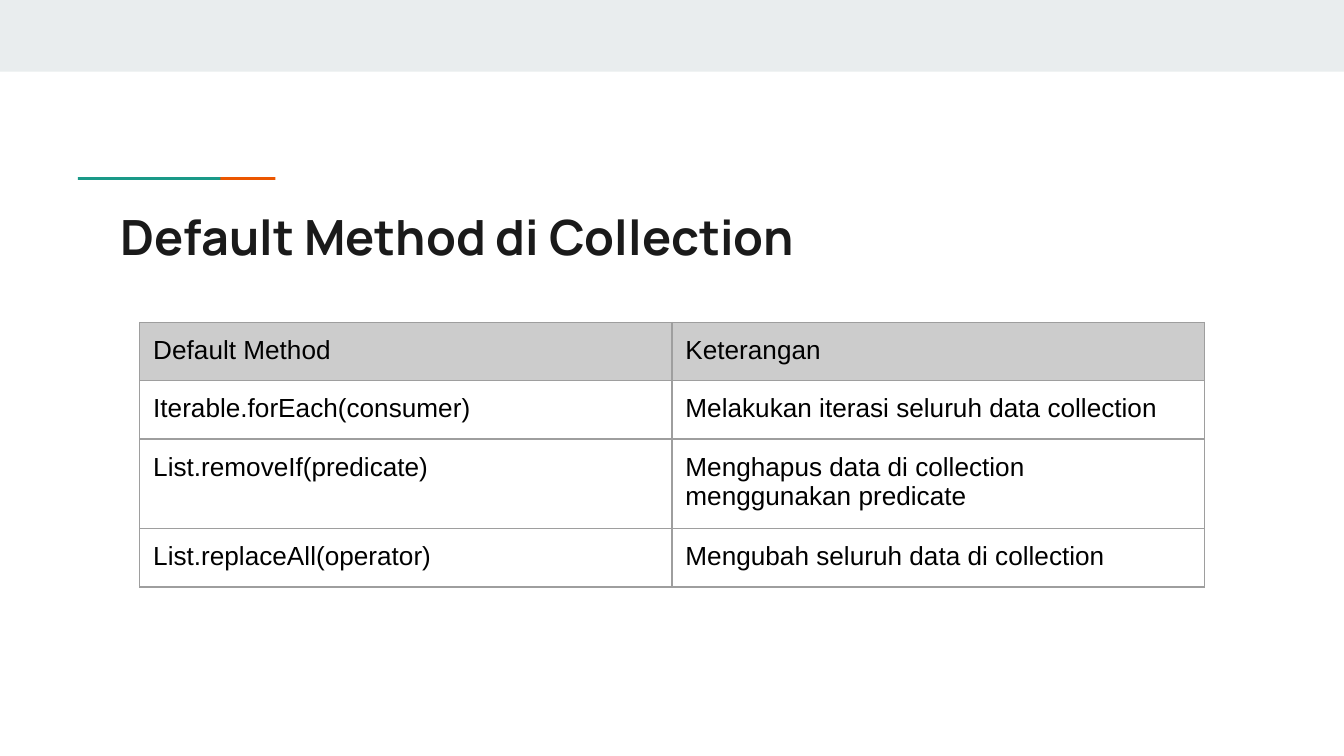
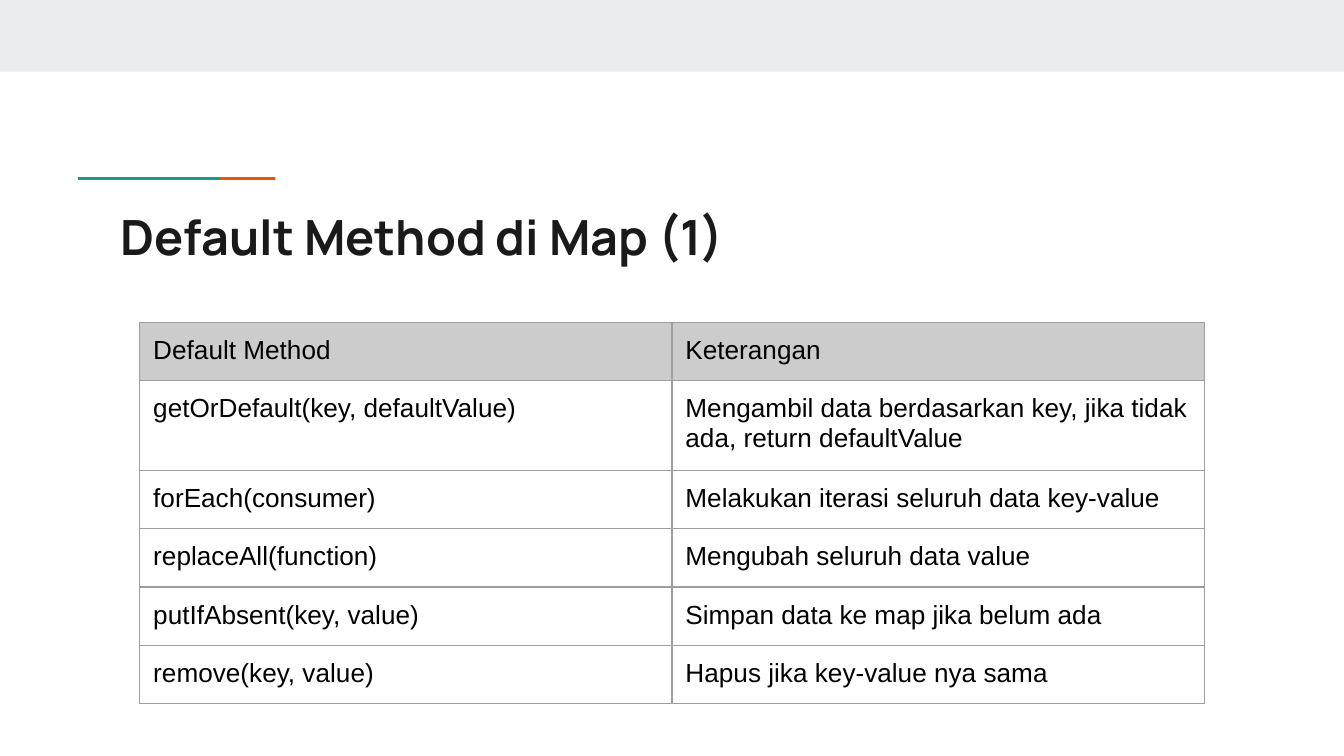
import pptx
import pptx.util
import pptx.dml.color
import pptx.enum.shapes
import pptx.enum.text
import pptx.oxml
import pptx.oxml.ns

RGB = pptx.dml.color.RGBColor
BAND = RGB(0xE9, 0xED, 0xEE)
TEAL = RGB(0x1A, 0x99, 0x88)
ORANGE = RGB(0xEB, 0x56, 0x00)
INK = RGB(0x1A, 0x1A, 0x1A)
BLACK = RGB(0x00, 0x00, 0x00)
HEADER = RGB(0xCC, 0xCC, 0xCC)
BORDER = RGB(0x9E, 0x9E, 0x9E)

TITLE_FONT = {"name": "Manrope", "size": pptx.util.Pt(26), "bold": True}
CELL_FONT = {"name": "Arial", "size": pptx.util.Pt(14), "bold": False}
INSET = pptx.util.Inches(0.1)
ROW = pptx.util.Pt(30)
FRAME = pptx.util.Inches(3.28)

prs = pptx.Presentation()
prs.slide_width = pptx.util.Inches(10)
prs.slide_height = prs.slide_width * 9 // 16
W, H = prs.slide_width, prs.slide_height

ACCENT_W, ACCENT_H = int(W * 0.002), int(W * 0.106)
ACCENT_Y = int(W * 0.1328 - ACCENT_H / 2)
BARS = [
    (0, 0, W, int(H * 0.095), 0, BAND),
    (int(W * 0.151), ACCENT_Y, ACCENT_W, ACCENT_H, 270, ORANGE),
    (int(W * 0.11), ACCENT_Y, ACCENT_W, ACCENT_H, 270, TEAL),
]

HEADINGS = ("Default Method", "Keterangan")
SLIDES = [
    ("Default Method di Collection", [
        ("Iterable.forEach(consumer)", "Melakukan iterasi seluruh data collection"),
        ("List.removeIf(predicate)", "Menghapus data di collection menggunakan predicate"),
        ("List.replaceAll(operator)", "Mengubah seluruh data di collection"),
    ]),
    ("Default Method di Map (1)", [
        ("getOrDefault(key, defaultValue)",
         "Mengambil data berdasarkan key, jika tidak ada, return defaultValue"),
        ("forEach(consumer)", "Melakukan iterasi seluruh data key-value"),
        ("replaceAll(function)", "Mengubah seluruh data value"),
        ("putIfAbsent(key, value)", "Simpan data ke map jika belum ada"),
        ("remove(key, value)", "Hapus jika key-value nya sama"),
    ]),
]


def write(tf, text, fmt, color):
    r = tf.paragraphs[0].add_run()
    r.text = text
    for key, value in fmt.items():
        setattr(r.font, key, value)
    r.font.color.rgb = color


def outline(cell):
    tcPr = cell._tc.get_or_add_tcPr()
    for side in ("lnL", "lnR", "lnT", "lnB"):
        tcPr.append(pptx.oxml.parse_xml(
            f'<a:{side} {pptx.oxml.ns.nsdecls("a")} w="{pptx.util.Pt(0.75)}">'
            f'<a:solidFill><a:srgbClr val="{BORDER}"/></a:solidFill></a:{side}>'))


for title, rows in SLIDES:
    s = prs.slides.add_slide(prs.slide_layouts[6])

    for x, y, w, h, turn, color in BARS:
        sp = s.shapes.add_shape(pptx.enum.shapes.MSO_SHAPE.RECTANGLE, x, y, w, h)
        sp.rotation = turn
        sp.shadow.inherit = False
        sp.fill.solid()
        sp.fill.fore_color.rgb = color
        sp.line.fill.background()

    tf = s.shapes.add_textbox(int(W * 0.08), int(H * 0.256), int(W * 0.84), int(H * 0.105)).text_frame
    tf.word_wrap = True
    tf.vertical_anchor = pptx.enum.text.MSO_ANCHOR.TOP
    for side in ("left", "right", "top", "bottom"):
        setattr(tf, f"margin_{side}", INSET)
    write(tf, title, TITLE_FONT, INK)

    grid = [HEADINGS] + rows
    frame = s.shapes.add_table(len(grid), len(HEADINGS), int(W * 0.104), int(H * 0.4265),
                               int(W * 0.792), ROW * len(grid))
    table = frame.table
    table.first_row = False
    table.horz_banding = False
    for i, texts in enumerate(grid):
        table.rows[i].height = ROW
        for j, text in enumerate(texts):
            cell = table.cell(i, j)
            for side in ("left", "right", "top", "bottom"):
                setattr(cell, f"margin_{side}", INSET)
            outline(cell)
            if i == 0:
                cell.fill.solid()
                cell.fill.fore_color.rgb = HEADER
            else:
                cell.fill.background()
            write(cell.text_frame, text, CELL_FONT, BLACK)
    frame.width = frame.height = FRAME

prs.save("out.pptx")
